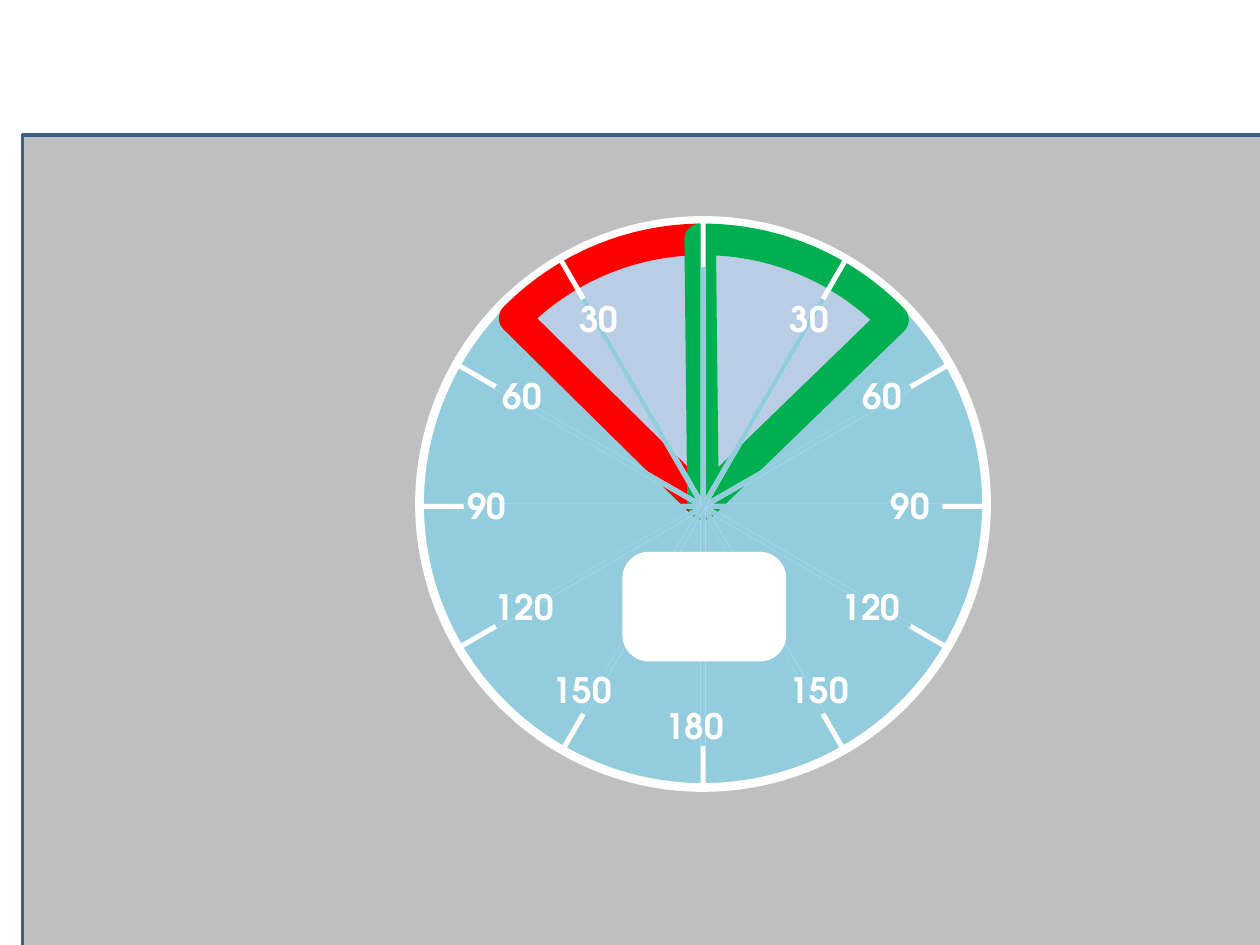
"""Build a slide with a round angle dial and two marked sectors."""
from pptx import Presentation
from pptx.dml.color import RGBColor
from pptx.enum import shapes, text
from pptx.util import Inches, Pt

theme = dict(panel="BFBFBF", edge="3A5F8C", dial="93CDDD", white="FFFFFF",
             sector="B9CDE5", left="FF0000", right="00B050",
             font="TeX Gyre Adventor", size=20)
kind = shapes.MSO_SHAPE

deck = Presentation()
deck.slide_width, deck.slide_height = Inches(10), Inches(7.5)
slide = deck.slides.add_slide(deck.slide_layouts[6])


def draw(home, form, box, fill, line=None, width=0):
    shape = home.shapes.add_shape(form, *map(Inches, box))
    shape.shadow.inherit = False
    shape.fill.solid()
    shape.fill.fore_color.rgb = RGBColor.from_string(theme[fill])
    if line:
        shape.line.color.rgb = RGBColor.from_string(theme[line])
        shape.line.width = Pt(width)
    else:
        shape.line.fill.background()
    return shape


def label(words, left, top, width):
    box = slide.shapes.add_textbox(*map(Inches, (left, top, width, 0.44)))
    frame = box.text_frame
    frame.word_wrap = True
    frame.auto_size = text.MSO_AUTO_SIZE.SHAPE_TO_FIT_TEXT
    run = frame.paragraphs[0].add_run()
    run.text = words
    run.font.name = theme["font"]
    run.font.size = Pt(theme["size"])
    run.font.bold = True
    run.font.color.rgb = RGBColor.from_string(theme["white"])


draw(slide, kind.RECTANGLE, (0.18, 1.07, 10, 7.5), "panel", "edge", 2)
draw(slide, kind.OVAL, (3.33, 1.75, 4.5, 4.5), "dial", "white", 5)

for side, start, end in (("left", 224.61, 270), ("right", 269.38, 315.91)):
    pie = draw(slide, kind.PIE, (3.48, 1.9, 4.2, 4.2), "sector", side, 18)
    pie.adjustments[0] = start * 0.6
    pie.adjustments[1] = end * 0.6

ticks = slide.shapes.add_group_shape()
for angle in (0, 30, 60, 90, 150, 120):
    for length, fill in ((4.5, "white"), (3.8, "dial")):
        bar = draw(ticks, kind.RECTANGLE, (5.58 - length / 2, 4, length, 0.04), fill)
        bar.rotation = angle

window = draw(slide, kind.ROUNDED_RECTANGLE, (4.94, 4.38, 1.3, 0.87), "white")
window.adjustments[0] = 0.24

for words, west, east, top, width in (
        ("30", 4.5, 6.17, 2.31, 0.64),
        ("60", 3.89, 6.75, 2.92, 0.64),
        ("90", 3.61, 6.97, 3.8, 0.8),
        ("120", 3.83, 6.58, 4.6, 0.8),
        ("150", 4.29, 6.17, 5.26, 0.8)):
    for left in (west, east):
        label(words, left, top, width)
label("180", 5.18, 5.54, 0.8)

deck.save("out.pptx")
